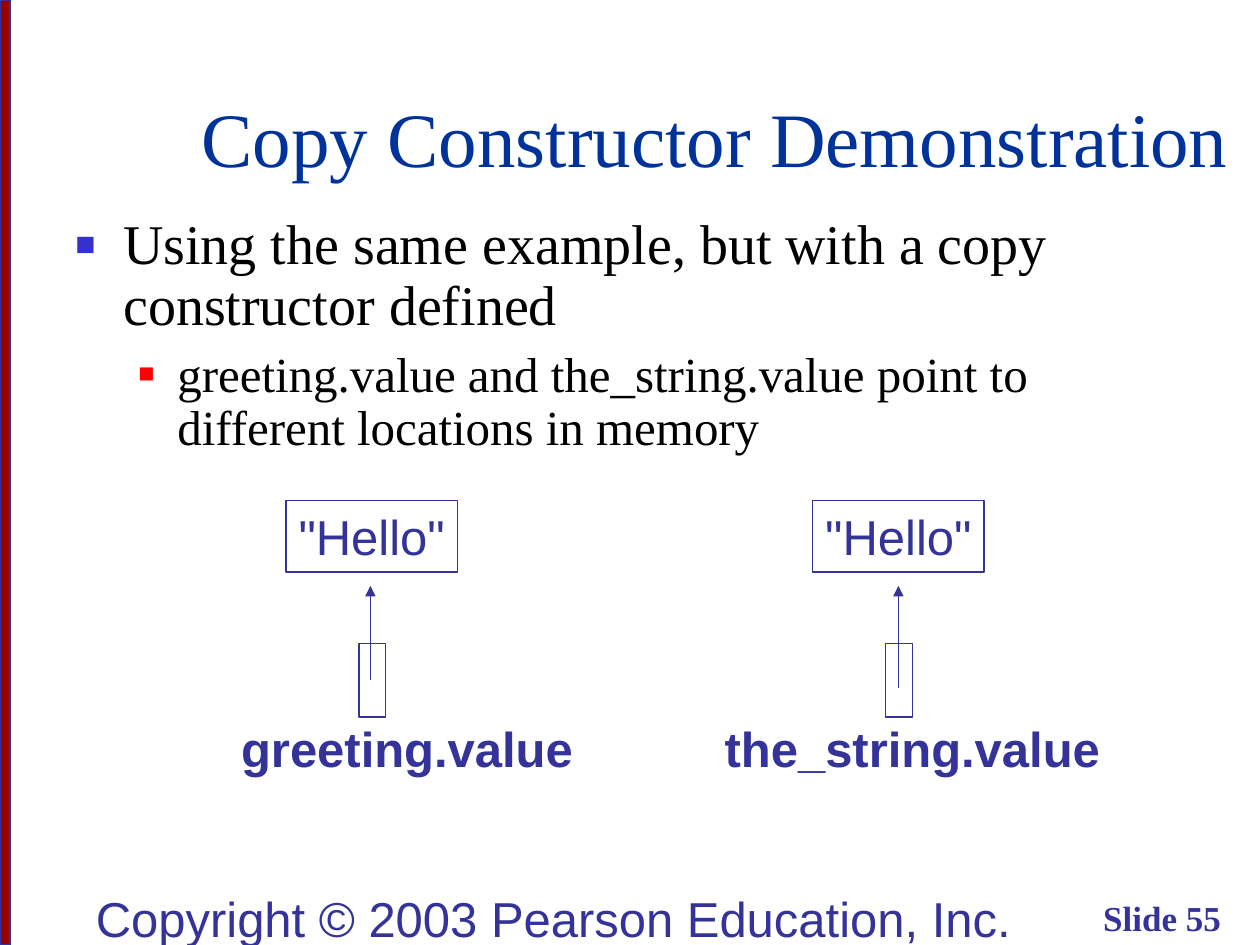
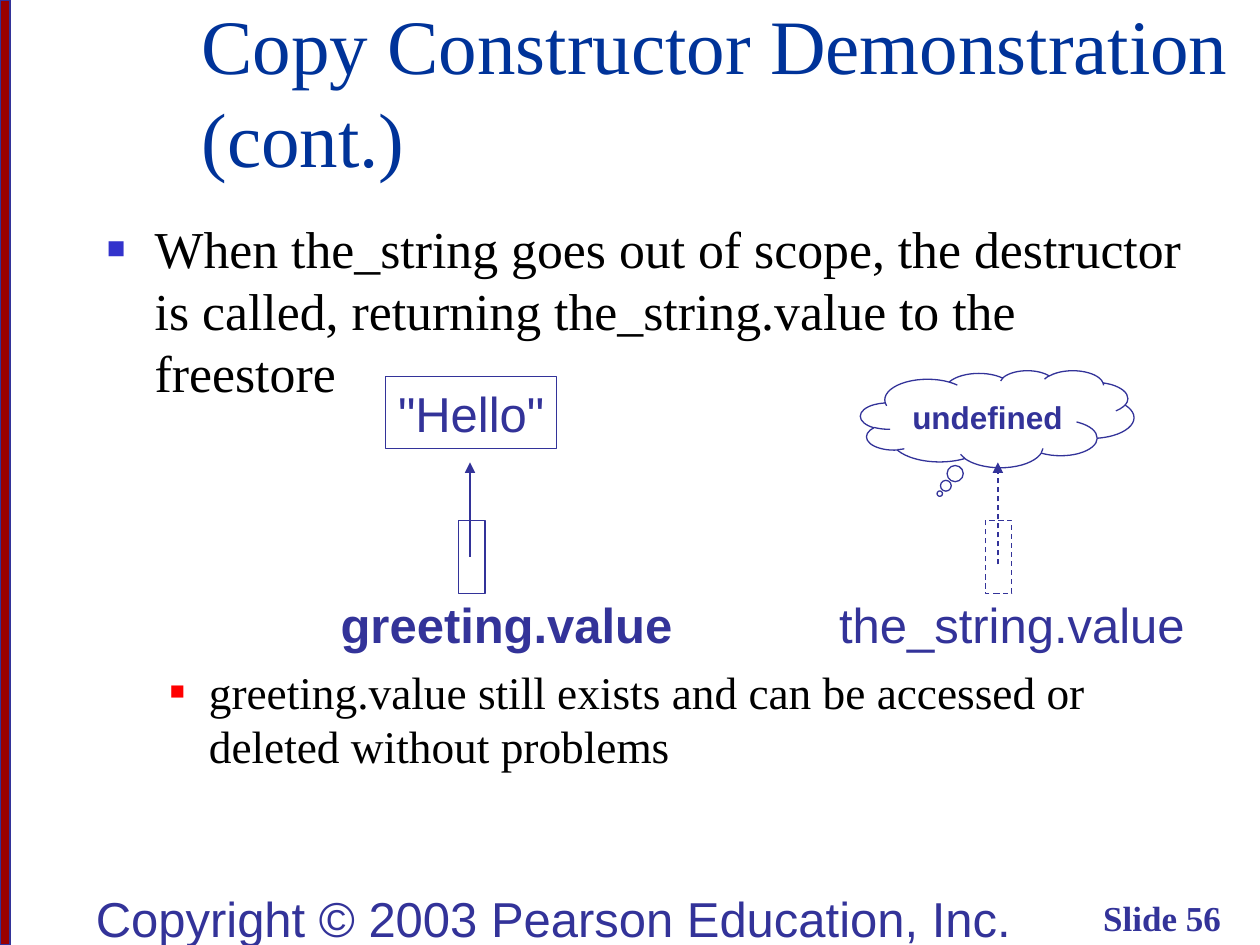
from lxml import etree
from pptx import Presentation
from pptx.dml.color import RGBColor
from pptx.enum.dml import MSO_LINE
from pptx.enum.shapes import MSO_CONNECTOR, MSO_SHAPE
from pptx.enum.text import MSO_ANCHOR as ANCHOR, MSO_AUTO_SIZE, PP_ALIGN as ALIGN
from pptx.oxml.ns import qn
from pptx.util import Emu, Pt

PX = 9144  # 100 px to the inch
WIDTH, HEIGHT = 1000, 750
TITLE_ONLY = 5

INK = RGBColor(0x33, 0x33, 0x99)
TITLE_BLUE = RGBColor(0x00, 0x33, 0x99)
BAND_RED = RGBColor(0x99, 0x00, 0x00)
BULLET_BLUE = RGBColor(0x33, 0x33, 0xCC)
BULLET_RED = RGBColor(0xFF, 0x00, 0x00)
BLACK = RGBColor(0x00, 0x00, 0x00)
SANS, SERIF = "Arial", "Times New Roman"

# (text indent, hanging, bullet colour, bullet size in percent) by level
LEVELS = [(38, 38, BULLET_BLUE, 60), (81, 31, BULLET_RED, 55)]
COLUMN_STEP = 418


def px(*lengths):
    return [Emu(length * PX) for length in lengths]


def write(paragraph, text, size=28, font=SANS, color=INK, bold=False,
          align=ALIGN.LEFT, before=0, spacing=None):
    paragraph.text = text
    paragraph.alignment = align
    paragraph.space_before = Pt(before)
    if spacing:
        paragraph.line_spacing = spacing
    for run in paragraph.runs:
        run.font.size = Pt(size)
        run.font.name = font
        run.font.bold = bold
        run.font.color.rgb = color


def add_bullet(paragraph, level):
    indent, hanging, color, percent = LEVELS[level]
    props = paragraph._p.get_or_add_pPr()
    props.set("marL", str(indent * PX))
    props.set("indent", str(-hanging * PX))
    bullet_color = etree.SubElement(props, qn("a:buClr"))
    etree.SubElement(bullet_color, qn("a:srgbClr"), val=str(color))
    etree.SubElement(props, qn("a:buSzPct"), val=str(percent * 1000))
    etree.SubElement(props, qn("a:buFont"), typeface=SANS)
    etree.SubElement(props, qn("a:buChar"), char="■")


def add_text(slide, box, text, anchor=ANCHOR.TOP, wrap=True, **style):
    frame = slide.shapes.add_textbox(*px(*box)).text_frame
    frame.word_wrap = wrap
    frame.vertical_anchor = anchor
    write(frame.paragraphs[0], text, **style)


def add_outline(slide, preset, box, text="", fill=None, dashed=False,
                wrap=False, **style):
    shape = slide.shapes.add_shape(preset, *px(*box))
    shape.shadow.inherit = False
    if fill is None:
        shape.fill.background()
    else:
        shape.fill.solid()
        shape.fill.fore_color.rgb = fill
    style_line(shape.line, dashed)
    if text:
        shape.text_frame.word_wrap = wrap
        shape.text_frame.vertical_anchor = ANCHOR.MIDDLE
        write(shape.text_frame.paragraphs[0], text, align=ALIGN.CENTER, **style)
    return shape


def style_line(line, dashed):
    line.color.rgb = INK
    line.width = Pt(0.75)
    if dashed:
        line.dash_style = MSO_LINE.DASH


def add_arrow(slide, x, start_y, end_y, dashed):
    arrow = slide.shapes.add_connector(
        MSO_CONNECTOR.STRAIGHT, *px(x, start_y, x, end_y))
    style_line(arrow.line, dashed)
    etree.SubElement(arrow.line._get_or_add_ln(), qn("a:tailEnd"), type="triangle")
    etree.SubElement(arrow._element.spPr, qn("a:effectLst"))


def add_frame(slide, title, number):
    """Side band, title and footers that every slide carries."""
    add_outline(slide, MSO_SHAPE.RECTANGLE, (0, 0, 8, HEIGHT), fill=BAND_RED)
    add_text(slide, (25, 700, 828, 50), "Copyright © 2003 Pearson Education, Inc.",
             align=ALIGN.CENTER)
    add_text(slide, (771, 700, 208, 50), f"Slide {number}", anchor=ANCHOR.BOTTOM,
             size=20, font=SERIF, bold=True, align=ALIGN.RIGHT)
    heading = slide.shapes.title
    heading.left, heading.top, heading.width, heading.height = px(150, 8, 842, 142)
    frame = heading.text_frame
    frame.auto_size = MSO_AUTO_SIZE.NONE
    frame.word_wrap = True
    frame.vertical_anchor = ANCHOR.BOTTOM
    write(frame.paragraphs[0], title, size=44, font=SERIF, color=TITLE_BLUE)


def add_body(slide, box, points, sizes, gap, spacing):
    """One bullet per level, with gap points between them."""
    frame = slide.shapes.add_textbox(*px(*box)).text_frame
    frame.word_wrap = True
    for level, (point, size) in enumerate(zip(points, sizes)):
        paragraph = frame.add_paragraph() if level else frame.paragraphs[0]
        paragraph.level = level
        add_bullet(paragraph, level)
        write(paragraph, point, size=size, font=SERIF, color=BLACK,
              before=gap if level else 0, spacing=spacing)


def add_pointer(slide, left, top, label, label_center, arrow_x, arrow_start,
                freed=False):
    """A pointer cell with its label below and the memory it points to above."""
    if freed:
        cloud = add_outline(slide, MSO_SHAPE.CLOUD_CALLOUT,
                            (left + 4, top - 5, 217, 77), "undefined",
                            wrap=True, size=18, bold=True)
        cloud.adjustments[0] = -0.21
        cloud.adjustments[1] = 0.77
    else:
        add_outline(slide, MSO_SHAPE.RECTANGLE, (left + 45, top, 136, 57), '"Hello"')
    add_outline(slide, MSO_SHAPE.RECTANGLE, (left + 103, top + 114, 21, 58),
                dashed=freed)
    add_arrow(slide, left + arrow_x, top + arrow_start, top + 68, dashed=freed)
    label_width = 318
    add_text(slide, (left + label_center - label_width // 2, top + 168, label_width, 57),
             label, wrap=False, bold=not freed, align=ALIGN.CENTER)


def add_memory_diagram(slide, left, top, freed=False):
    add_pointer(slide, left, top, "greeting.value", 141, 112, 143)
    add_pointer(slide, left + COLUMN_STEP, top, "the_string.value", 124, 113, 149,
                freed=freed)


def main():
    deck = Presentation()
    deck.slide_width, deck.slide_height = px(WIDTH, HEIGHT)
    layout = deck.slide_layouts[TITLE_ONLY]

    defined = deck.slides.add_slide(layout)
    add_frame(defined, "Copy Constructor Demonstration", 55)
    add_body(defined, (50, 167, 924, 500),
             ["Using the same example, but with a copy\vconstructor defined",
              "greeting.value and the_string.value point to\v"
              "different locations in memory"],
             sizes=(32, 28), gap=7, spacing=0.9)
    add_memory_diagram(defined, 182, 397)

    destroyed = deck.slides.add_slide(layout)
    add_frame(destroyed, "Copy Constructor Demonstration (cont.)", 56)
    add_body(destroyed, (75, 167, 924, 500),
             ["When the_string goes out of scope, the destructor\v"
              "is called, returning the_string.value to the\vfreestore",
              "greeting.value still exists and can be accessed or\v"
              "deleted without problems"],
             sizes=(29.6, 25.9), gap=149, spacing=1.0)
    add_memory_diagram(destroyed, 261, 299, freed=True)

    deck.save("out.pptx")


if __name__ == "__main__":
    main()
